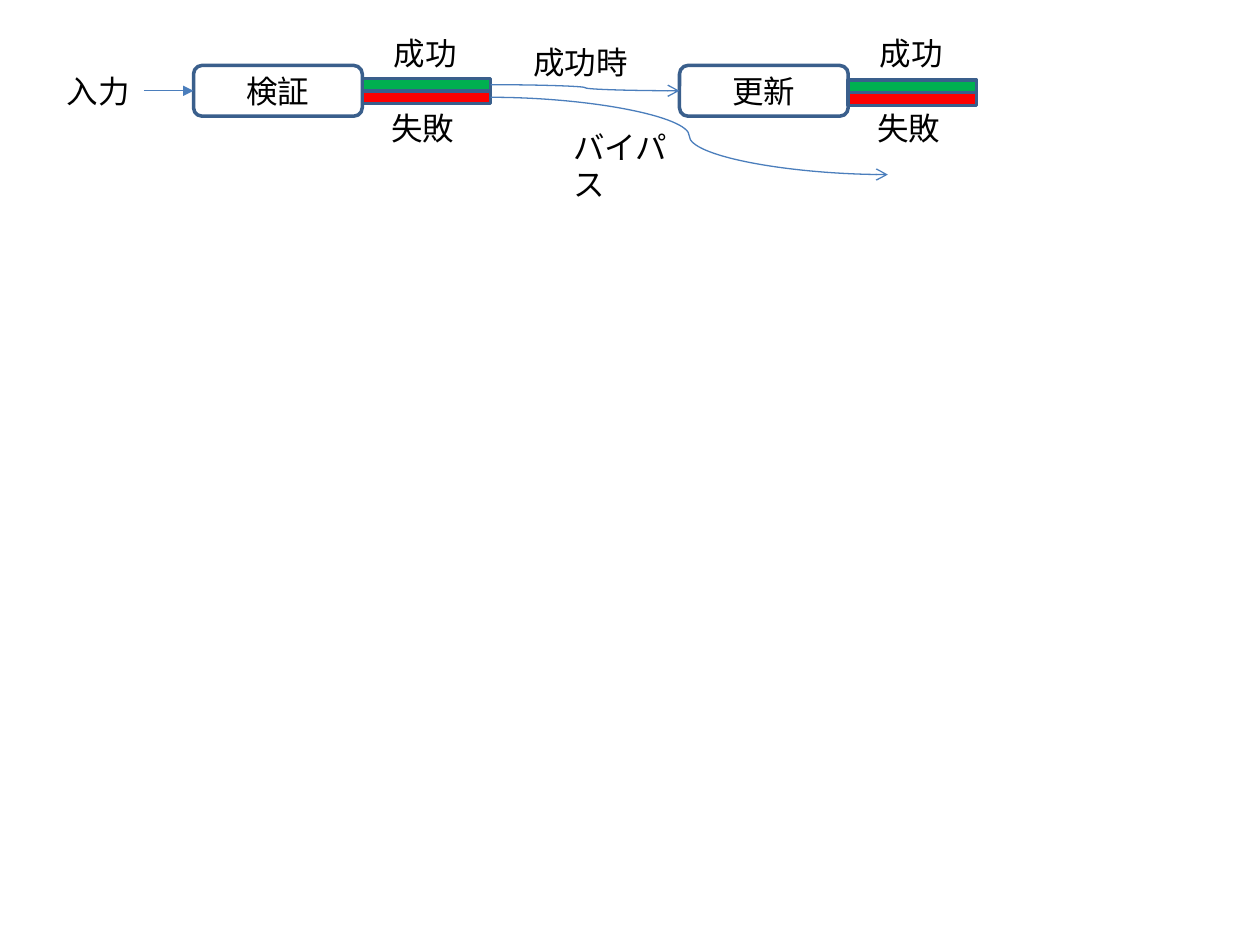
from pptx import Presentation
from pptx.dml.color import RGBColor
from pptx.enum import shapes, text
from pptx.oxml import ns
from pptx.util import Pt
from lxml import etree

BLACK = RGBColor(0x00, 0x00, 0x00)
OUTLINE = RGBColor(0x3A, 0x5F, 0x8C)
FLOW = RGBColor(0x4B, 0x7E, 0xBC)
SUCCESS = RGBColor(0x00, 0xB0, 0x50)
FAILURE = RGBColor(0xFF, 0x00, 0x00)

BOX_TOP, BOX_WIDTH, BOX_HEIGHT = 37.4, 96.4, 29
BAR_WIDTH, BAR_HEIGHT = 73.4, 7.2
LABEL_WIDTH, LABEL_HEIGHT = 51.2, 29


def write(frame, wording, size=18, font="Calibri", color=BLACK,
          align=None, anchor=None, wrap=True):
    frame.word_wrap = wrap
    if anchor is not None:
        frame.vertical_anchor = anchor
    paragraph = frame.paragraphs[0]
    if align is not None:
        paragraph.alignment = align
    run = paragraph.add_run()
    run.text = wording
    run.font.size = Pt(size)
    run.font.name = font
    run.font.color.rgb = color


def add_label(slide, wording, left, top, width=LABEL_WIDTH, wrap=False):
    label = slide.shapes.add_textbox(Pt(left), Pt(top), Pt(width), Pt(LABEL_HEIGHT))
    write(label.text_frame, wording, wrap=wrap)
    label.text_frame.auto_size = text.MSO_AUTO_SIZE.SHAPE_TO_FIT_TEXT
    return label


def add_outlined(slide, kind, left, top, width, height, fill=None):
    shape = slide.shapes.add_shape(kind, Pt(left), Pt(top), Pt(width), Pt(height))
    shape.shadow.inherit = False
    if fill is None:
        shape.fill.background()
    else:
        shape.fill.solid()
        shape.fill.fore_color.rgb = fill
    shape.line.color.rgb = OUTLINE
    shape.line.width = Pt(2)
    return shape


def add_stage(slide, wording, left, bar_top):
    """Add a process box with its two result tracks; return box and tracks."""
    box = add_outlined(slide, shapes.MSO_SHAPE.ROUNDED_RECTANGLE,
                       left, BOX_TOP, BOX_WIDTH, BOX_HEIGHT)
    write(box.text_frame, wording, align=text.PP_ALIGN.CENTER,
          anchor=text.MSO_ANCHOR.MIDDLE)
    tracks = [
        add_outlined(slide, shapes.MSO_SHAPE.RECTANGLE, left + BOX_WIDTH,
                     bar_top + row * BAR_HEIGHT, BAR_WIDTH, BAR_HEIGHT, fill)
        for row, fill in enumerate((SUCCESS, FAILURE))
    ]
    add_label(slide, "成功", left + 107.4, 15.8)
    add_label(slide, "失敗", left + 105.9, 59)
    return box, *tracks


def add_arrow(slide, kind, source, target=None, end=(0, 0), head="arrow"):
    """Lead from the right side of source to the left side of target or to end."""
    arrow = slide.shapes.add_connector(
        kind, source.left + source.width, source.top + source.height // 2,
        Pt(end[0]), Pt(end[1]))
    arrow.begin_connect(source, 3)
    if target is not None:
        arrow.end_connect(target, 1)
    arrow.line.color.rgb = FLOW
    arrow.line.width = Pt(0.75)
    etree.SubElement(arrow.line._get_or_add_ln(), ns.qn("a:tailEnd"), type=head)
    etree.SubElement(arrow._element.spPr, ns.qn("a:effectLst"))


def main():
    deck = Presentation()
    deck.slide_width, deck.slide_height = Pt(720), Pt(540)
    slide = deck.slides.add_slide(deck.slide_layouts[6])

    entry = add_label(slide, "入力", 31, BOX_TOP)
    validation, passed, failed = add_stage(slide, "検証", 110.6, 44.8)
    update, _, _ = add_stage(slide, "更新", 388.3, 45.8)

    straight, curve = shapes.MSO_CONNECTOR.STRAIGHT, shapes.MSO_CONNECTOR.CURVE
    add_arrow(slide, straight, entry, validation, head="triangle")
    add_arrow(slide, curve, passed, update)
    add_arrow(slide, curve, failed, end=(507.4, 99.8))

    add_label(slide, "成功時", 297.6, 21, width=73.4, wrap=True)
    add_label(slide, "バイパス", 320.6, 69.4, width=85, wrap=True)
    deck.save("out.pptx")


if __name__ == "__main__":
    main()
